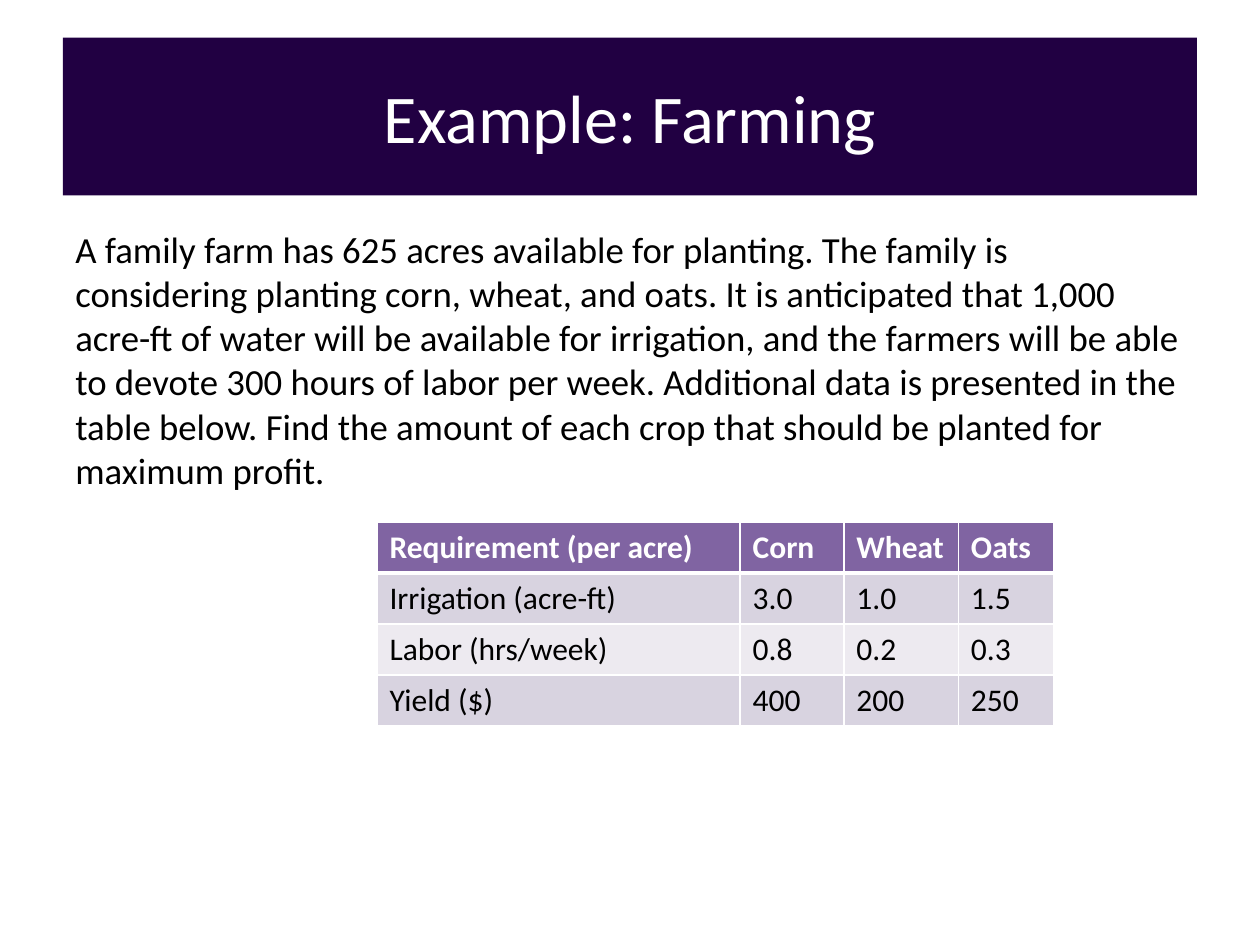
from lxml import etree
from pptx import Presentation
from pptx.dml.color import RGBColor
from pptx.enum.shapes import MSO_SHAPE
from pptx.enum.text import MSO_ANCHOR, PP_ALIGN
from pptx.oxml.ns import qn
from pptx.util import Cm, Pt

RECTANGLE = MSO_SHAPE.RECTANGLE
MIDDLE = MSO_ANCHOR.MIDDLE
CENTER = PP_ALIGN.CENTER
LEFT = PP_ALIGN.LEFT

FONT = "Calibri"
COLORS = {
    "banner": "210042",
    "header": "8064A2",
    "odd_row": "D8D3E0",
    "even_row": "EDEAF0",
    "white": "FFFFFF",
    "black": "000000",
}
PROBLEM = (
    "A family farm has 625 acres available for planting. The family is "
    "considering planting corn, wheat, and oats. It is anticipated that 1,000 "
    "acre-ft of water will be available for irrigation, and the farmers will be "
    "able to devote 300 hours of labor per week. Additional data is presented in "
    "the table below. Find the amount of each crop that should be planted for "
    "maximum profit."
)
CROP_DATA = [
    ["Requirement (per acre)", "Corn", "Wheat", "Oats"],
    ["Irrigation (acre-ft)", "3.0", "1.0", "1.5"],
    ["Labor (hrs/week)", "0.8", "0.2", "0.3"],
    ["Yield ($)", "400", "200", "250"],
]
COLUMN_WIDTHS = [Cm(7.32), Cm(2.09), Cm(2.31), Cm(1.92)]
ROW_HEIGHT = Cm(1.03)


def color(name):
    return RGBColor.from_string(COLORS[name])


def write_text(text_frame, text, size, color_name, bold=False, alignment=LEFT):
    paragraph = text_frame.paragraphs[0]
    paragraph.text = text
    paragraph.alignment = alignment
    paragraph.font.name = FONT
    paragraph.font.size = Pt(size)
    paragraph.font.bold = bold
    paragraph.font.color.rgb = color(color_name)


def add_title_banner(slide, text):
    shape = slide.shapes.add_shape(RECTANGLE, Cm(1.27), Cm(0.76), Cm(22.86), Cm(3.18))
    shape.shadow.inherit = False
    shape.fill.solid()
    shape.fill.fore_color.rgb = color("banner")
    shape.line.fill.background()
    shape.text_frame.vertical_anchor = MIDDLE
    write_text(shape.text_frame, text, 39, "white", alignment=CENTER)


def add_problem_text(slide, text):
    shape = slide.shapes.add_textbox(Cm(1.27), Cm(4.45), Cm(22.86), Cm(12.12))
    shape.text_frame.word_wrap = True
    write_text(shape.text_frame, text, 21, "black")


def set_borders(cell, widths):
    properties = cell._tc.get_or_add_tcPr()
    for side, width in widths.items():
        line = etree.SubElement(properties, qn(f"a:ln{side}"), w=str(Pt(width)))
        fill = etree.SubElement(line, qn("a:solidFill"))
        etree.SubElement(fill, qn("a:srgbClr"), val=COLORS["white"])


def format_cell(cell, text, row_index):
    is_header = row_index == 0
    set_borders(cell, {
        "L": 1,
        "R": 1,
        "T": 3 if row_index == 1 else 1,
        "B": 3 if is_header else 1,
    })
    if is_header:
        fill_name = "header"
    else:
        fill_name = "odd_row" if row_index % 2 else "even_row"
    cell.fill.solid()
    cell.fill.fore_color.rgb = color(fill_name)
    write_text(cell.text_frame, text, 18, "white" if is_header else "black", bold=is_header)


def add_crop_table(slide, data):
    table = slide.shapes.add_table(
        len(data), len(COLUMN_WIDTHS), Cm(7.6), Cm(10.52),
        sum(COLUMN_WIDTHS), ROW_HEIGHT * len(data),
    ).table
    for column, width in zip(table.columns, COLUMN_WIDTHS):
        column.width = width
    for row_index, (row, values) in enumerate(zip(table.rows, data)):
        row.height = ROW_HEIGHT
        for cell, value in zip(row.cells, values):
            format_cell(cell, value, row_index)


def main():
    presentation = Presentation()
    presentation.slide_width = Cm(25.4)
    presentation.slide_height = Cm(19.05)
    slide = presentation.slides.add_slide(presentation.slide_layouts[6])
    add_title_banner(slide, "Example: Farming")
    add_problem_text(slide, PROBLEM)
    add_crop_table(slide, CROP_DATA)
    presentation.save("out.pptx")


if __name__ == "__main__":
    main()
